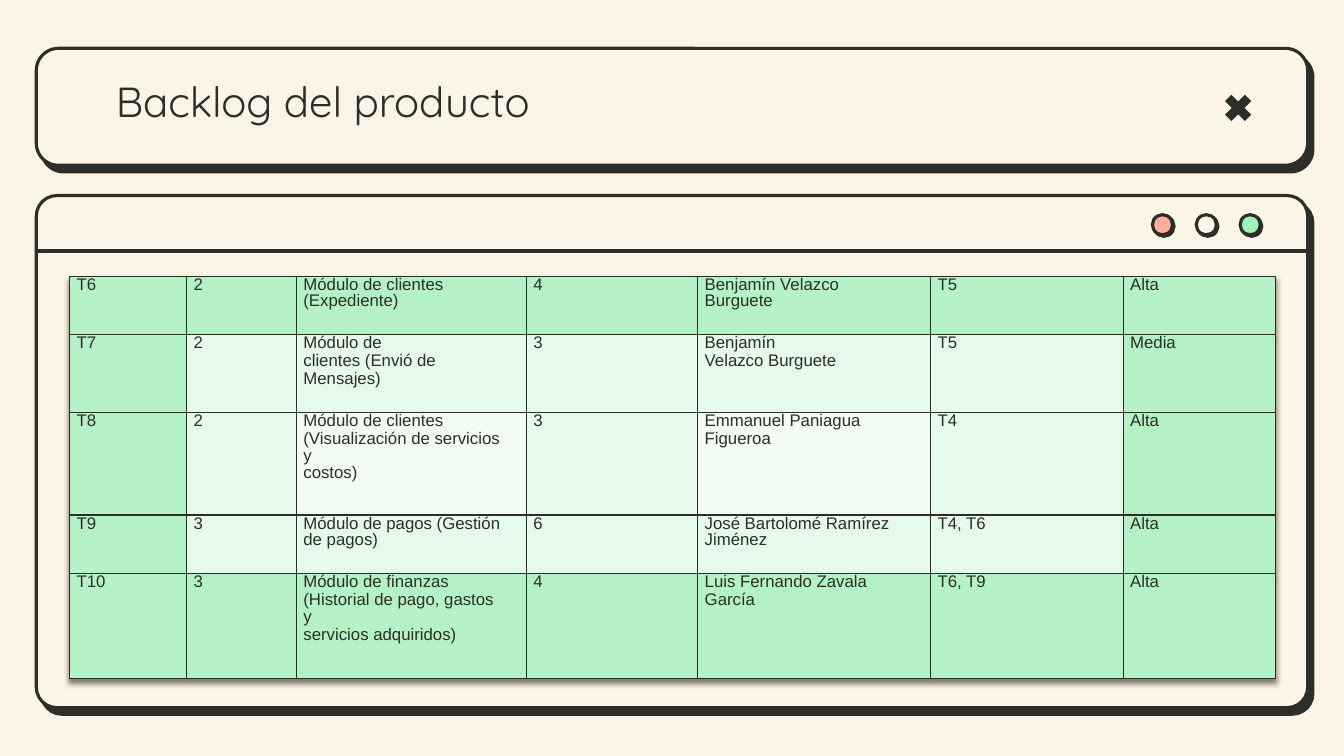
from dataclasses import dataclass

from lxml import etree
from pptx import Presentation
from pptx.dml.color import RGBColor
from pptx.enum.shapes import MSO_CONNECTOR, MSO_SHAPE
from pptx.enum.text import MSO_ANCHOR
from pptx.oxml.ns import qn
from pptx.util import Inches, Pt

ROUNDED = MSO_SHAPE.ROUNDED_RECTANGLE
OVAL = MSO_SHAPE.OVAL
CROSS = MSO_SHAPE.MATH_MULTIPLY
STRAIGHT = MSO_CONNECTOR.STRAIGHT
TOP = MSO_ANCHOR.TOP


@dataclass(frozen=True)
class Theme:
    paper: str = "FCF4E6"
    ink: str = "2D2E27"
    coral: str = "FFB09C"
    mint: str = "9FF1B7"
    strong: str = "B5F1C6"
    soft: str = "E5FAEA"
    pale: str = "F3FCF5"
    black: str = "000000"
    title_font: str = "Quicksand"
    table_font: str = "Arial"
    title_size: float = 30
    table_size: float = 12
    leading: float = 12.6
    tight_leading: float = 11.7
    outline: float = 2.25
    border: float = 1


COLUMN_WIDTHS = [1.16, 1.09, 2.28, 1.7, 2.31, 1.91, 1.51]
ROW_HEIGHTS = [0.58, 0.77, 1.02, 0.58, 1.04]
BACKLOG = [
    ["T6", "2", "Módulo de clientes\n(Expediente)", "4",
     "Benjamín Velazco\nBurguete", "T5", "Alta"],
    ["T7", "2", "Módulo de\nclientes (Envió de Mensajes)", "3",
     "Benjamín\nVelazco Burguete", "T5", "Media"],
    ["T8", "2", "Módulo de clientes (Visualización de servicios y\ncostos)", "3",
     "Emmanuel Paniagua Figueroa", "T4", "Alta"],
    ["T9", "3", "Módulo de pagos (Gestión\nde pagos)", "6",
     "José Bartolomé Ramírez\nJiménez", "T4, T6", "Alta"],
    ["T10", "3", "Módulo de finanzas (Historial de pago, gastos y\nservicios adquiridos)", "4",
     "Luis Fernando Zavala García", "T6, T9", "Alta"],
]
TIGHT_LINES = {"(Expediente)", "Burguete", "costos)", "de pagos)", "Jiménez"}


class BacklogSlide:
    """Draws the backlog window on one slide in a shared style."""

    def __init__(self, page, theme):
        self.page = page
        self.theme = theme
        self.paint(page.background.fill, theme.paper)

    def paint(self, fill, color):
        fill.solid()
        fill.fore_color.rgb = RGBColor.from_string(color)

    def add_shadow(self, effects, color, distance, angle, blur=0, opacity=100):
        shadow = etree.SubElement(
            effects, qn("a:outerShdw"), blurRad=str(Pt(blur)), dist=str(Pt(distance)),
            dir=str(angle * 60000), algn="bl", rotWithShape="0")
        tint = etree.SubElement(shadow, qn("a:srgbClr"), val=color)
        etree.SubElement(tint, qn("a:alpha"), val=str(opacity * 1000))

    def shape(self, kind, left, top, width, height, color, adjustment=None, shadow=None):
        box = self.page.shapes.add_shape(
            kind, Inches(left), Inches(top), Inches(width), Inches(height))
        if adjustment is not None:
            box.adjustments[0] = adjustment
        self.paint(box.fill, color)
        box.shadow.inherit = False
        if shadow is None:
            box.line.fill.background()
            return
        self.paint(box.line.fill, self.theme.ink)
        box.line.width = Pt(self.theme.outline)
        effects = box.element.spPr.find(qn("a:effectLst"))
        self.add_shadow(effects, self.theme.ink, *shadow)

    def panel(self, top, height, adjustment):
        self.shape(ROUNDED, 0.36, top, 12.61, height, self.theme.paper, adjustment, (6, 52))

    def rule(self, left, right, top):
        line = self.page.shapes.add_connector(
            STRAIGHT, Inches(left), Inches(top), Inches(right), Inches(top))
        self.paint(line.line.fill, self.theme.ink)
        line.line.width = Pt(self.theme.outline)
        etree.SubElement(line.element.spPr, qn("a:effectLst"))

    def style_span(self, span, font, size):
        span.font.name = font
        span.font.size = Pt(size)
        span.font.color.rgb = RGBColor.from_string(self.theme.ink)

    def title(self, text, left, top, width, height):
        box = self.page.shapes.add_textbox(
            Inches(left), Inches(top), Inches(width), Inches(height))
        frame = box.text_frame
        frame.word_wrap = True
        frame.vertical_anchor = TOP
        frame.margin_left = frame.margin_right = Inches(0.1)
        frame.margin_top = frame.margin_bottom = Inches(0.1)
        frame.text = text
        self.style_span(frame.paragraphs[0].runs[0],
                        self.theme.title_font, self.theme.title_size)

    def add_borders(self, cell):
        properties = cell._tc.get_or_add_tcPr()
        for position, side in enumerate(("lnL", "lnR", "lnT", "lnB")):
            line = etree.Element(qn(f"a:{side}"), w=str(Pt(self.theme.border)))
            fill = etree.SubElement(line, qn("a:solidFill"))
            etree.SubElement(fill, qn("a:srgbClr"), val=self.theme.ink)
            properties.insert(position, line)

    def fill_cell(self, cell, text, color):
        cell.margin_left, cell.margin_right = Inches(0.07), Inches(0.22)
        cell.margin_top = cell.margin_bottom = 0
        cell.vertical_anchor = TOP
        cell.text_frame.text = text
        for para in cell.text_frame.paragraphs:
            tight = para.text in TIGHT_LINES
            para.line_spacing = Pt(self.theme.tight_leading if tight else self.theme.leading)
            for span in para.runs:
                self.style_span(span, self.theme.table_font, self.theme.table_size)
        self.paint(cell.fill, color)
        self.add_borders(cell)

    def cell_color(self, row, column):
        if row in (0, len(BACKLOG) - 1) or column in (0, len(COLUMN_WIDTHS) - 1):
            return self.theme.strong
        return self.theme.pale if row == 2 and column in (2, 4) else self.theme.soft

    def table(self, left, top):
        frame = self.page.shapes.add_table(
            len(BACKLOG), len(COLUMN_WIDTHS), Inches(left), Inches(top),
            Inches(sum(COLUMN_WIDTHS)), Inches(sum(ROW_HEIGHTS)))
        table = frame.table
        table.first_row = table.horz_banding = False
        effects = etree.Element(qn("a:effectLst"))
        self.add_shadow(effects, self.theme.black, 3, 90, 4, 50)
        table._tbl.tblPr.insert(0, effects)
        for column, width in zip(table.columns, COLUMN_WIDTHS):
            column.width = Inches(width)
        for row_index, (row, height) in enumerate(zip(table.rows, ROW_HEIGHTS)):
            row.height = Inches(height)
            for column_index, cell in enumerate(row.cells):
                self.fill_cell(cell, BACKLOG[row_index][column_index],
                               self.cell_color(row_index, column_index))


def main():
    deck = Presentation()
    deck.slide_width, deck.slide_height = Inches(13.33), Inches(7.5)
    theme = Theme()
    slide = BacklogSlide(deck.slides.add_slide(deck.slide_layouts[6]), theme)
    slide.panel(1.94, 5.08, 0.04)
    for index, color in enumerate((theme.coral, theme.paper, theme.mint)):
        slide.shape(OVAL, 11.43 + 0.435 * index, 2.13, 0.2, 0.2, color, shadow=(1.5, 45))
    slide.rule(0.36, 12.96, 2.49)
    slide.panel(0.48, 1.16, 0.19)
    slide.shape(CROSS, 12.09, 0.88, 0.38, 0.38, theme.ink, 0.235)
    slide.title("Backlog del producto", 1.05, 0.65, 11.23, 0.84)
    slide.table(0.69, 2.74)
    deck.save("out.pptx")


if __name__ == "__main__":
    main()
